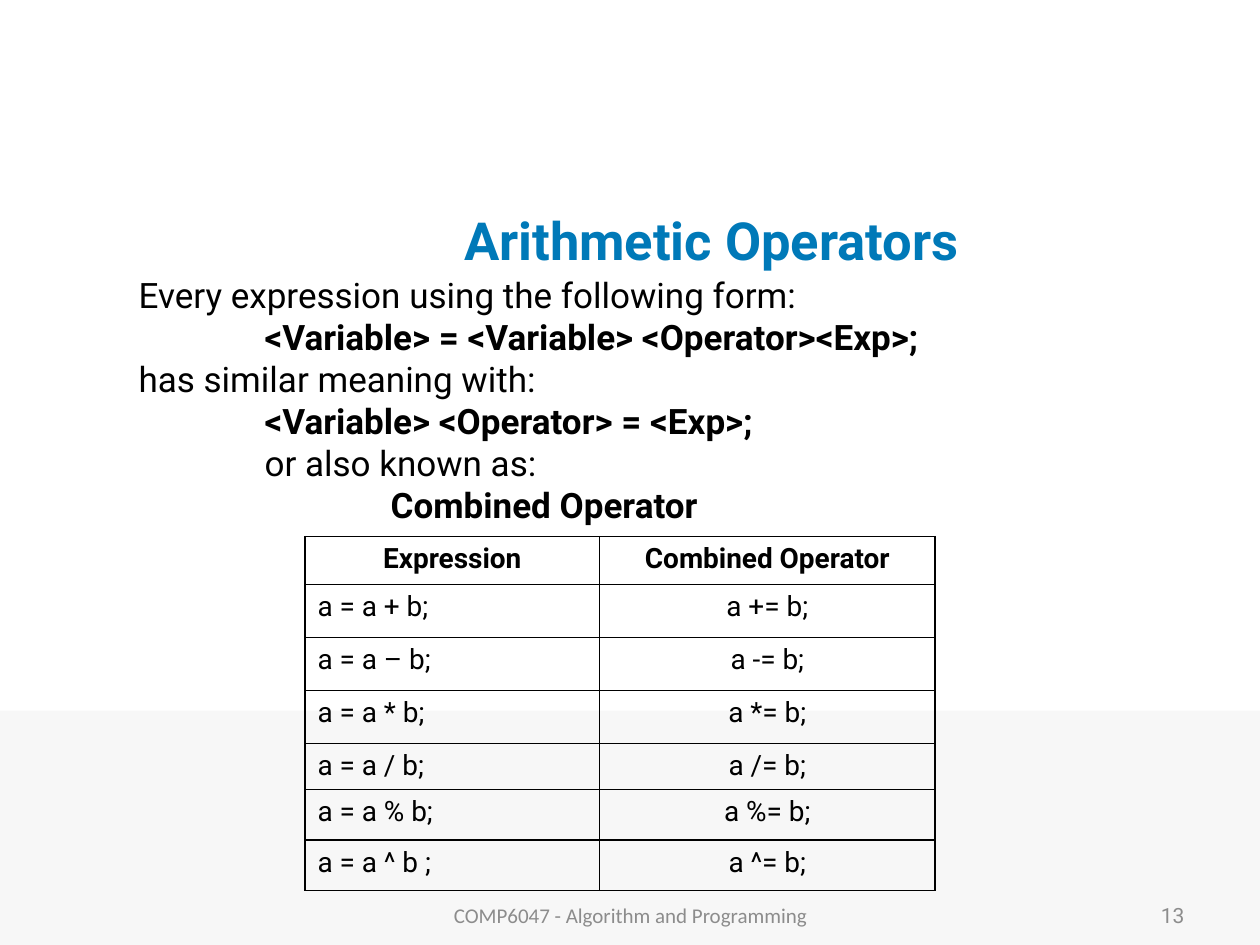
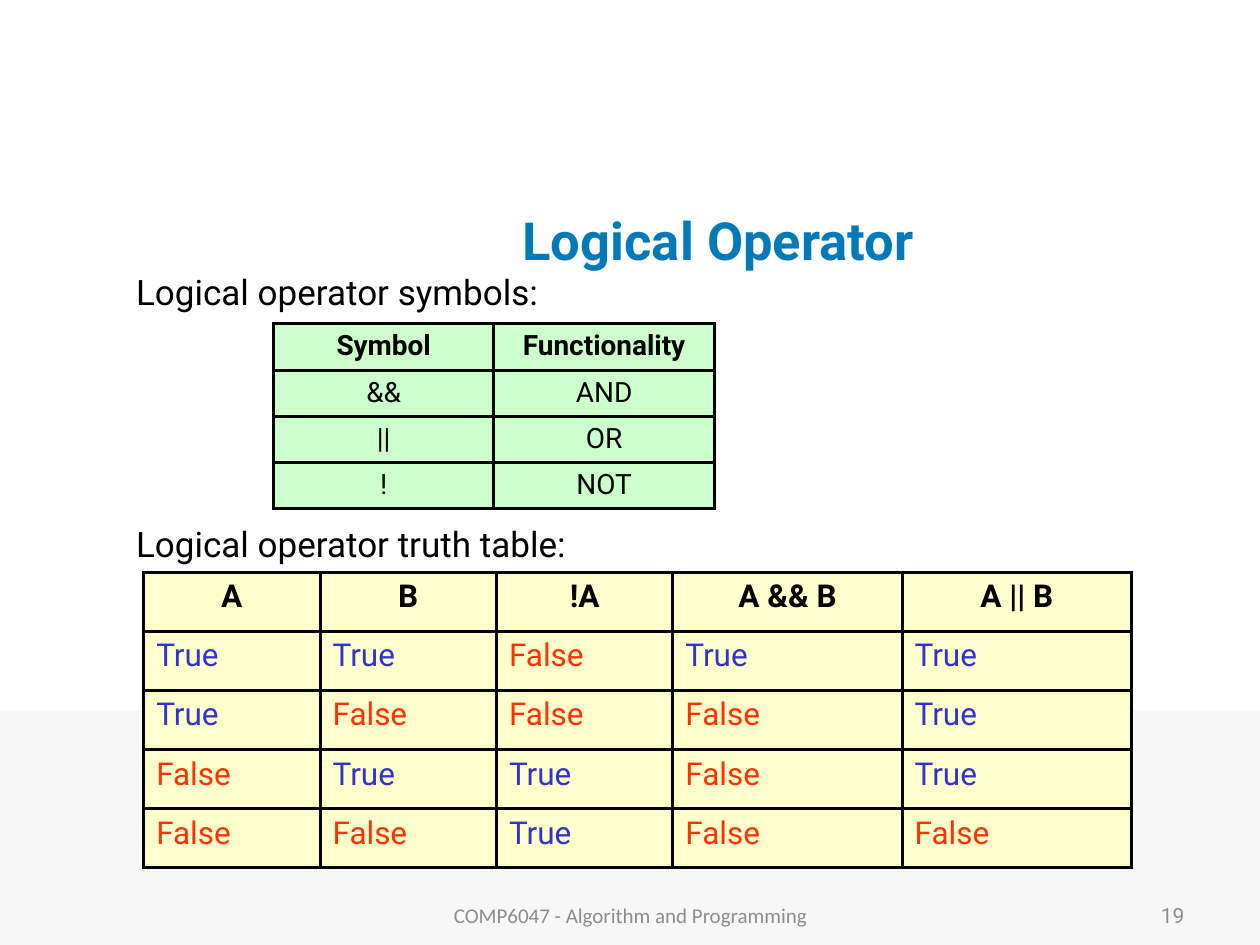
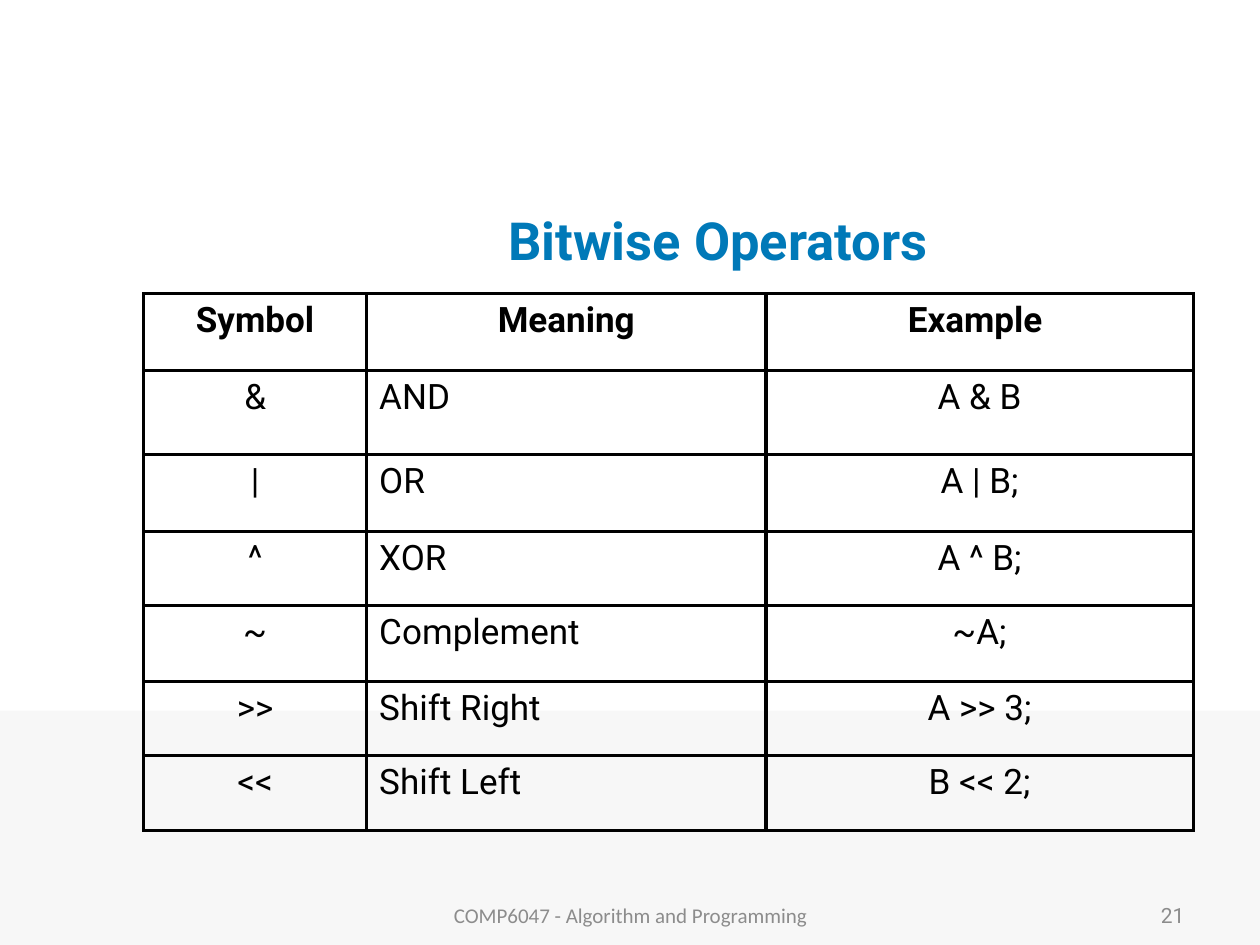
import pptx
import pptx.util
import pptx.dml.color
import pptx.enum.shapes
import pptx.enum.text
import pptx.oxml
import pptx.oxml.ns

ALIGN = pptx.enum.text.PP_ALIGN
ANCHOR = pptx.enum.text.MSO_ANCHOR
BLUE, BLACK, GREY, BAND = "0079B8", "000000", "8C8C8C", "F7F7F7"
GREEN, YELLOW = "CCFFCC", "FFFFCC"
TRUTH_COLORS = {"True": "3333CC", "False": "FF3300"}
FONT, FOOTER_FONT = "Roboto", "Calibri"
FOOTER = "COMP6047 - Algorithm and Programming"

# The slide is a grid of 10 columns by 7.5 rows
COLS, ROWS = 10, 7.5
WIDTH, HEIGHT = pptx.util.Inches(10), pptx.util.Inches(7.5)


def color(value):
    return pptx.dml.color.RGBColor.from_string(value)


def cols(n):
    return round(WIDTH * n / COLS)


def rows(n):
    return round(HEIGHT * n / ROWS)


def box(left, top, width, height):
    return cols(left), rows(top), cols(width), rows(height)


def place(sp, *area):
    sp.left, sp.top, sp.width, sp.height = box(*area)


def add_run(p, text, size, fill=BLACK, bold=False, font=FONT):
    r = p.add_run()
    r.text = text
    r.font.size, r.font.bold, r.font.name = pptx.util.Pt(size), bold, font
    r.font.color.rgb = color(fill)


def set_indent(p, left, first=0):
    pPr = p._p.get_or_add_pPr()
    pPr.set("marL", str(cols(left)))
    pPr.set("indent", str(cols(first)))


def add_master_band(prs, s):
    """Draw the bottom band once and move it to the master, behind everything."""
    sp = s.shapes.add_shape(pptx.enum.shapes.MSO_SHAPE.RECTANGLE, *box(0, 5.64, COLS, 1.86))
    sp.shadow.inherit = False
    sp.fill.solid()
    sp.fill.fore_color.rgb = color(BAND)
    sp.line.fill.background()
    sp._element.nvSpPr.cNvPr.set("id", "20")
    prs.slide_master.shapes._spTree.insert(2, sp._element)


def add_title(s, text):
    sp = s.shapes.title
    place(sp, 1.92, 1.5, 7.48, 0.87)
    tf = sp.text_frame
    tf.vertical_anchor = ANCHOR.MIDDLE
    tf.auto_size = pptx.enum.text.MSO_AUTO_SIZE.NONE
    p = tf.paragraphs[0]
    p.alignment, p.line_spacing = ALIGN.CENTER, 0.9
    set_indent(p, 0.51, -0.43)
    add_run(p, text, 30, BLUE, bold=True)


def add_body(s, left, top, lines):
    """Each line is (text, indent, bold, space before in points)."""
    sp = s.placeholders[1]
    place(sp, left, top, 8.33, 4.78)
    tf = sp.text_frame
    tf.auto_size = pptx.enum.text.MSO_AUTO_SIZE.NONE
    for i, (text, indent, bold, before) in enumerate(lines):
        p = tf.add_paragraph() if i else tf.paragraphs[0]
        p.space_before = pptx.util.Pt(before)
        set_indent(p, indent)
        p._p.get_or_add_pPr().append(pptx.oxml.parse_xml(
            f"<a:buNone {pptx.oxml.ns.nsdecls('a')}/>"))
        add_run(p, text, 20, bold=bold)


def add_footer_text(s, left, width, text, align, font):
    tf = s.shapes.add_textbox(*box(left, 7.06, width, 0.4)).text_frame
    tf.word_wrap, tf.vertical_anchor = True, ANCHOR.MIDDLE
    p = tf.paragraphs[0]
    p.alignment = align
    add_run(p, text, 12, GREY, font=font)


def add_slide(prs, layout, title, number):
    s = prs.slides.add_slide(prs.slide_layouts.get_by_name(layout))
    add_title(s, title)
    add_footer_text(s, 7.17, 2.33, str(number), ALIGN.RIGHT, FONT)
    add_footer_text(s, 3.42, 3.17, FOOTER, ALIGN.CENTER, FOOTER_FONT)
    return s


def set_borders(cell, weight):
    tcPr = cell._tc.get_or_add_tcPr()
    for side in ("lnL", "lnR", "lnT", "lnB"):
        tcPr.append(pptx.oxml.parse_xml(
            f'<a:{side} {pptx.oxml.ns.nsdecls("a")} w="{pptx.util.Pt(weight)}">'
            f'<a:solidFill><a:srgbClr val="{BLACK}"/></a:solidFill></a:{side}>'))


def add_table(s, left, top, widths, heights, data, size, weight, fill=None, left_cols=()):
    """Centre all cells but those below the header in left_cols."""
    area = box(left, top, sum(widths), sum(heights))
    table = s.shapes.add_table(len(heights), len(widths), *area).table
    table.first_row = table.horz_banding = False
    for column, width in zip(table.columns, widths):
        column.width = cols(width)
    for i, (height, texts) in enumerate(zip(heights, data)):
        table.rows[i].height = rows(height)
        for j, text in enumerate(texts):
            cell = table.cell(i, j)
            set_borders(cell, weight)
            if fill:
                cell.fill.solid()
                cell.fill.fore_color.rgb = color(fill)
            else:
                cell.fill.background()
            p = cell.text_frame.paragraphs[0]
            p.alignment = ALIGN.LEFT if i and j in left_cols else ALIGN.CENTER
            add_run(p, text, size, TRUTH_COLORS.get(text, BLACK), bold=i == 0)


def add_arithmetic_slide(prs):
    s = add_slide(prs, "Title and Content", "Arithmetic Operators ", 13)
    add_master_band(prs, s)
    add_body(s, 1, 2.12, [
        ("Every expression using the following form:", 0, False, 0),
        ("<Variable> = <Variable> <Operator><Exp>;", 1, True, 0),
        ("has similar meaning with:", 0, False, 0),
        ("<Variable> <Operator> = <Exp>;", 1, True, 0),
        ("or also known as:", 1, False, 0),
        ("Combined Operator", 2, True, 0),
    ])
    add_table(s, 2.42, 4.26, [2.34, 2.66], [0.38, 0.42, 0.42, 0.42, 0.36, 0.4, 0.4], [
        ("Expression", "Combined Operator"),
        ("a = a + b;", "a += b;"),
        ("a = a – b;", "a -= b;"),
        ("a = a * b;", "a *= b;"),
        ("a = a / b;", "a /= b;"),
        ("a = a % b;", "a %= b;"),
        ("a = a ^ b ;", "a ^= b;"),
    ], size=16, weight=1, left_cols=[0])


def add_logical_slide(prs):
    s = add_slide(prs, "Title and Content", "Logical Operator", 19)
    add_body(s, 0.98, 2.1, [
        ("Logical operator symbols:", 0, False, 0),
        ("Logical operator truth table:", 0, False, 120),
    ])
    add_table(s, 2.17, 2.57, [1.75] * 2, [0.36] * 4, [
        ("Symbol", "Functionality"),
        ("&&", "AND"),
        ("||", "OR"),
        ("!", "NOT"),
    ], size=16, weight=2, fill=GREEN)
    # Truth values follow from the operators in the header
    truth = [(a, b, not a, a and b, a or b) for a in (True, False) for b in (True, False)]
    add_table(s, 1.14, 4.54, [1.4] * 3 + [1.82] * 2, [0.47] * 5,
              [("A", "B", "!A", "A && B", "A || B")]
              + [[str(value) for value in line] for line in truth],
              size=18, weight=2, fill=YELLOW, left_cols=range(5))


def add_bitwise_slide(prs):
    s = add_slide(prs, "Title Only", "Bitwise Operators", 21)
    add_table(s, 1.14, 2.33, [1.77, 3.17, 3.39], [0.61, 0.67, 0.61, 0.59, 0.6, 0.59, 0.59], [
        ("Symbol", "Meaning", "Example "),
        ("&", "AND", "A & B"),
        ("|", "OR", "A | B;"),
        ("^", "XOR", "A ^ B;"),
        ("~", "Complement", "~A;"),
        (">>", "Shift Right", "A >> 3;"),
        ("<<", "Shift Left", "B << 2;"),
    ], size=20, weight=2, left_cols=[1])


def main():
    prs = pptx.Presentation()
    prs.slide_width, prs.slide_height = WIDTH, HEIGHT
    add_arithmetic_slide(prs)
    add_logical_slide(prs)
    add_bitwise_slide(prs)
    prs.save("out.pptx")


if __name__ == "__main__":
    main()
